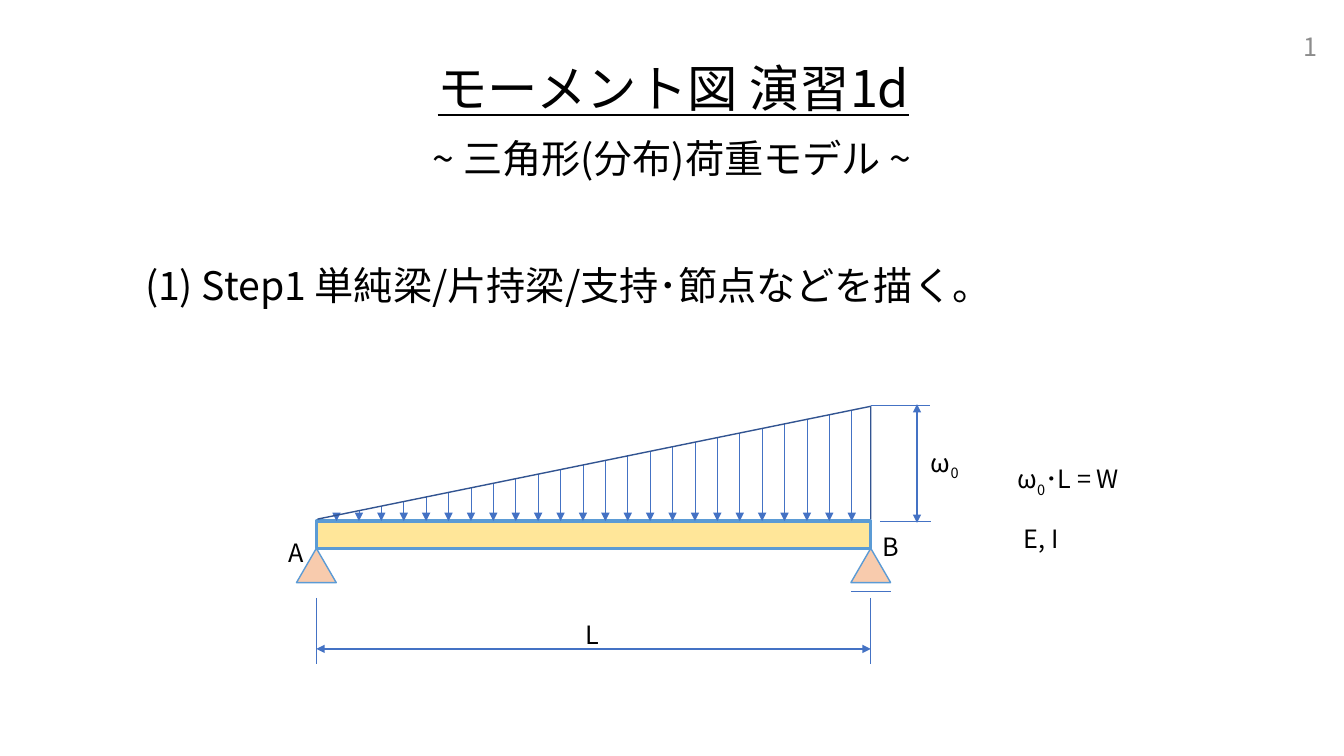
from lxml import etree
from pptx import Presentation
from pptx.dml.color import RGBColor
from pptx.enum.shapes import MSO_CONNECTOR, MSO_SHAPE
from pptx.enum.text import MSO_ANCHOR, MSO_AUTO_SIZE, PP_ALIGN
from pptx.oxml.ns import qn
from pptx.util import Pt

BLACK = RGBColor(0x00, 0x00, 0x00)
GREY = RGBColor(0x8C, 0x8C, 0x8C)
BLUE = RGBColor(0x44, 0x72, 0xC4)
LIGHT_BLUE = RGBColor(0x5B, 0x9B, 0xD5)
DARK_BLUE = RGBColor(0x32, 0x54, 0x91)
YELLOW = RGBColor(0xFF, 0xE6, 0x99)
PEACH = RGBColor(0xF8, 0xCB, 0xAD)

FONT = "Noto Sans CJK JP"
RECTANGLE, TRIANGLE = MSO_SHAPE.RECTANGLE, MSO_SHAPE.ISOSCELES_TRIANGLE
STRAIGHT = MSO_CONNECTOR.STRAIGHT
TOP, MIDDLE = MSO_ANCHOR.TOP, MSO_ANCHOR.MIDDLE
LEFT, CENTER, RIGHT = PP_ALIGN.LEFT, PP_ALIGN.CENTER, PP_ALIGN.RIGHT
FIT = MSO_AUTO_SIZE.SHAPE_TO_FIT_TEXT

BEAM_LEFT, BEAM_RIGHT = 226, 622
BEAM_TOP, BEAM_BOTTOM = 372.2, 391.7
LOAD_LEFT, LOAD_BASE, LOAD_PEAK = 226.8, 370.8, 290.2
ARROW_COUNT, ARROW_START, ARROW_GAP = 24, 240.4, 16
LABEL_HEIGHT = 29
SUPPORT_WIDTH, SUPPORT_HEIGHT = 28.4, 24.5


def apply(target, values):
    """Set every attribute named in values on target."""
    for name, value in values.items():
        setattr(target, name, value)


def add_text(page, frame, spans, size, color=BLACK, underline=None,
             body=None, layout=None):
    """Add a text box; each span is a (text, is_subscript) pair."""
    box = page.shapes.add_textbox(*map(Pt, frame))
    apply(box.text_frame, {"word_wrap": True, **(body or {})})
    para = box.text_frame.paragraphs[0]
    apply(para, layout or {})
    for text, is_subscript in spans:
        span = para.add_run()
        span.text = text
        apply(span.font, {"size": Pt(size), "name": FONT,
                          "underline": underline})
        span.font.color.rgb = color
        properties = span.font._element
        east_asian = etree.Element(qn("a:ea"), typeface=FONT)
        properties.find(qn("a:latin")).addnext(east_asian)
        if is_subscript:
            properties.set("baseline", "-25000")


def add_label(page, left, top, width, *spans):
    """Add a small diagram label that does not wrap."""
    add_text(page, (left, top, width, LABEL_HEIGHT), spans, 18,
             body={"word_wrap": False, "auto_size": FIT})


def add_line(page, start, end, width=0.5, heads=()):
    """Add a straight line with triangles at the ends named in heads."""
    line = page.shapes.add_connector(STRAIGHT, *map(Pt, (*start, *end)))
    line.line.color.rgb = BLUE
    line.line.width = Pt(width)
    for head in heads:
        etree.SubElement(line.line._get_or_add_ln(), qn(f"a:{head}"),
                         type="triangle")
    etree.SubElement(line._element.spPr, qn("a:effectLst"))


def add_dimension(page, start, end):
    """Add a heavier line with arrowheads at both ends."""
    add_line(page, start, end, 1.5, ("headEnd", "tailEnd"))


def style_shape(shape, fill, color, width):
    """Give a shape its fill and outline without a shadow."""
    shape.shadow.inherit = False
    if fill is None:
        shape.fill.background()
    else:
        shape.fill.solid()
        shape.fill.fore_color.rgb = fill
    shape.line.color.rgb = color
    shape.line.width = Pt(width)


def add_solid(page, kind, frame, fill, width):
    """Add a filled preset shape with a light blue outline."""
    shape = page.shapes.add_shape(kind, *map(Pt, frame))
    style_shape(shape, fill, LIGHT_BLUE, width)


def add_headings(page):
    """Add the page number, title, subtitle and step text."""
    middle = {"vertical_anchor": MIDDLE}
    heading = {"alignment": CENTER, "line_spacing": 0.9}
    add_text(page, (732, 19, 216, 29), [("1", False)], 18, GREY,
             body=middle, layout={"alignment": RIGHT})
    add_text(page, (157, 20, 648, 90), [("モーメント図 演習1d", False)], 36,
             underline=True, body=middle, layout=heading)
    add_text(page, (23, 70, 914, 90),
             [("~ 三角形(分布)荷重モデル ~", False)], 28,
             body=middle, layout=heading)
    add_text(page, (96.5, 183, 610, 41),
             [("(1) Step1 単純梁/片持梁/支持・節点などを描く。".replace("・", "･"),
               False)], 28,
             body={"vertical_anchor": TOP, "auto_size": FIT},
             layout={"alignment": LEFT})


def add_beam(page):
    """Add the beam, its two supports and their names."""
    add_solid(page, RECTANGLE, (BEAM_LEFT, BEAM_TOP, BEAM_RIGHT - BEAM_LEFT,
                                BEAM_BOTTOM - BEAM_TOP), YELLOW, 2.25)
    for center in (BEAM_LEFT, BEAM_RIGHT):
        add_solid(page, TRIANGLE, (center - SUPPORT_WIDTH / 2, BEAM_BOTTOM,
                                   SUPPORT_WIDTH, SUPPORT_HEIGHT), PEACH, 1)
    add_line(page, (608, 422.5), (636.5, 422.5))
    add_label(page, 198.7, 380.2, 26, ("A", False))
    add_label(page, 623.5, 375.8, 26.5, ("B", False))


def add_load(page):
    """Add the triangular load: arrows under a sloping outline."""
    slope = (LOAD_PEAK - LOAD_BASE) / (BEAM_RIGHT - LOAD_LEFT)
    for index in range(ARROW_COUNT):
        x = ARROW_START + index * ARROW_GAP
        top = LOAD_BASE + slope * (x - LOAD_LEFT)
        add_line(page, (x, top), (x, BEAM_TOP), heads=("tailEnd",))
    builder = page.shapes.build_freeform(Pt(LOAD_LEFT), Pt(LOAD_BASE))
    corners = ((BEAM_RIGHT, LOAD_PEAK), (BEAM_RIGHT, LOAD_BASE))
    builder.add_line_segments([(Pt(x), Pt(y)) for x, y in corners],
                              close=False)
    style_shape(builder.convert_to_shape(), None, DARK_BLUE, 1)


def add_measures(page):
    """Add the span and load dimensions with the formulas."""
    for x in (BEAM_LEFT, BEAM_RIGHT):
        add_line(page, (x, 427), (x, 474.5))
    add_dimension(page, (BEAM_LEFT, 463.5), (BEAM_RIGHT, 463.5))
    add_label(page, 411, 439, 25, ("L", False))
    add_line(page, (BEAM_RIGHT, 289.5), (664.5, 289.5))
    add_line(page, (628.5, BEAM_TOP), (665, BEAM_TOP))
    add_dimension(page, (655, 373.5), (655, 288.7))
    add_label(page, 653.8, 316, 44.6, (" ω", False), ("0", True))
    add_label(page, 715.7, 327.6, 108, (" ω", False), ("0", True),
              ("･L = W", False))
    add_label(page, 720, 370, 46, (" E, I", False))


def main():
    """Build the slide and save it."""
    deck = Presentation()
    apply(deck, {"slide_width": Pt(960), "slide_height": Pt(540)})
    page = deck.slides.add_slide(deck.slide_layouts[6])
    add_headings(page)
    add_beam(page)
    add_load(page)
    add_measures(page)
    deck.save("out.pptx")


main()
